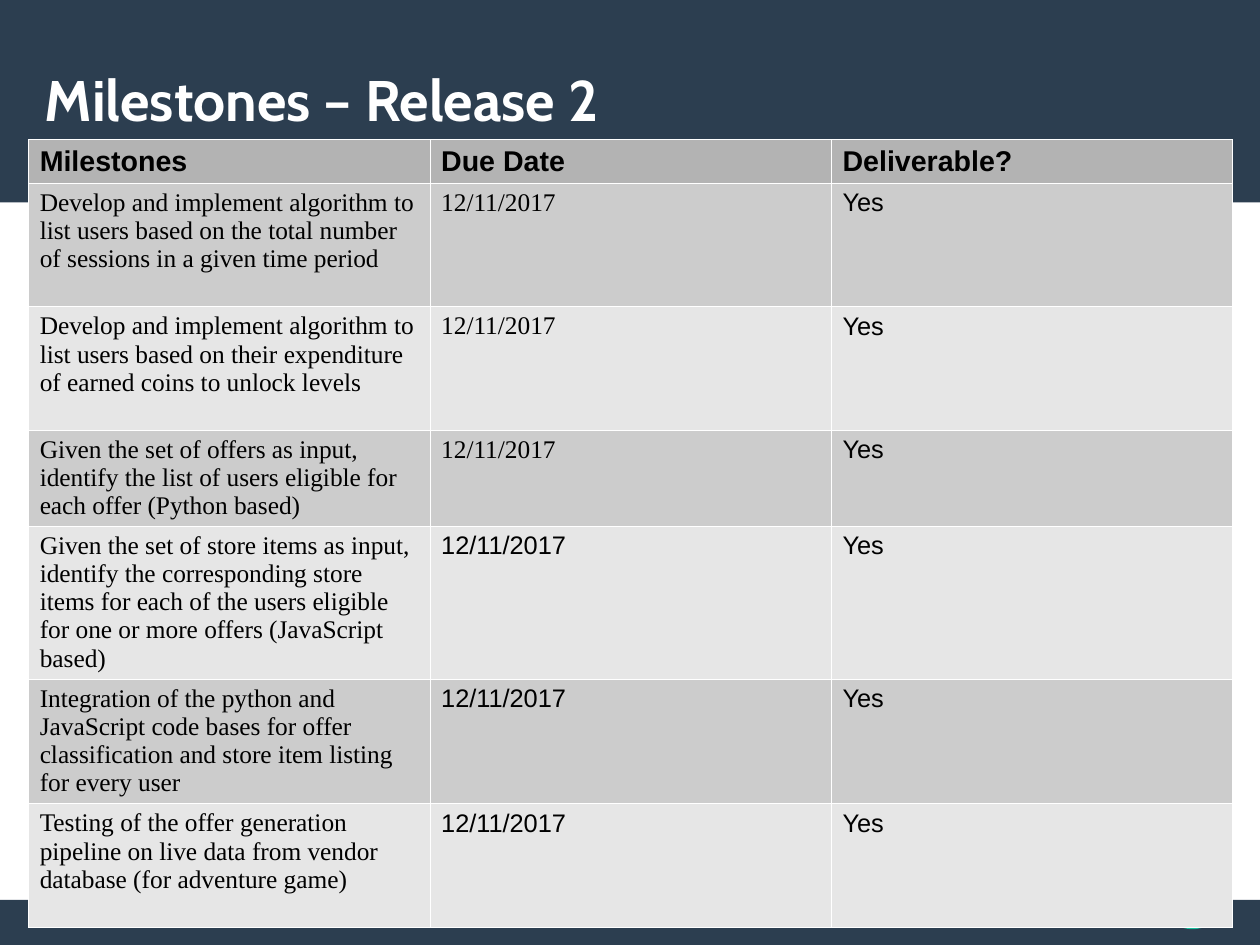
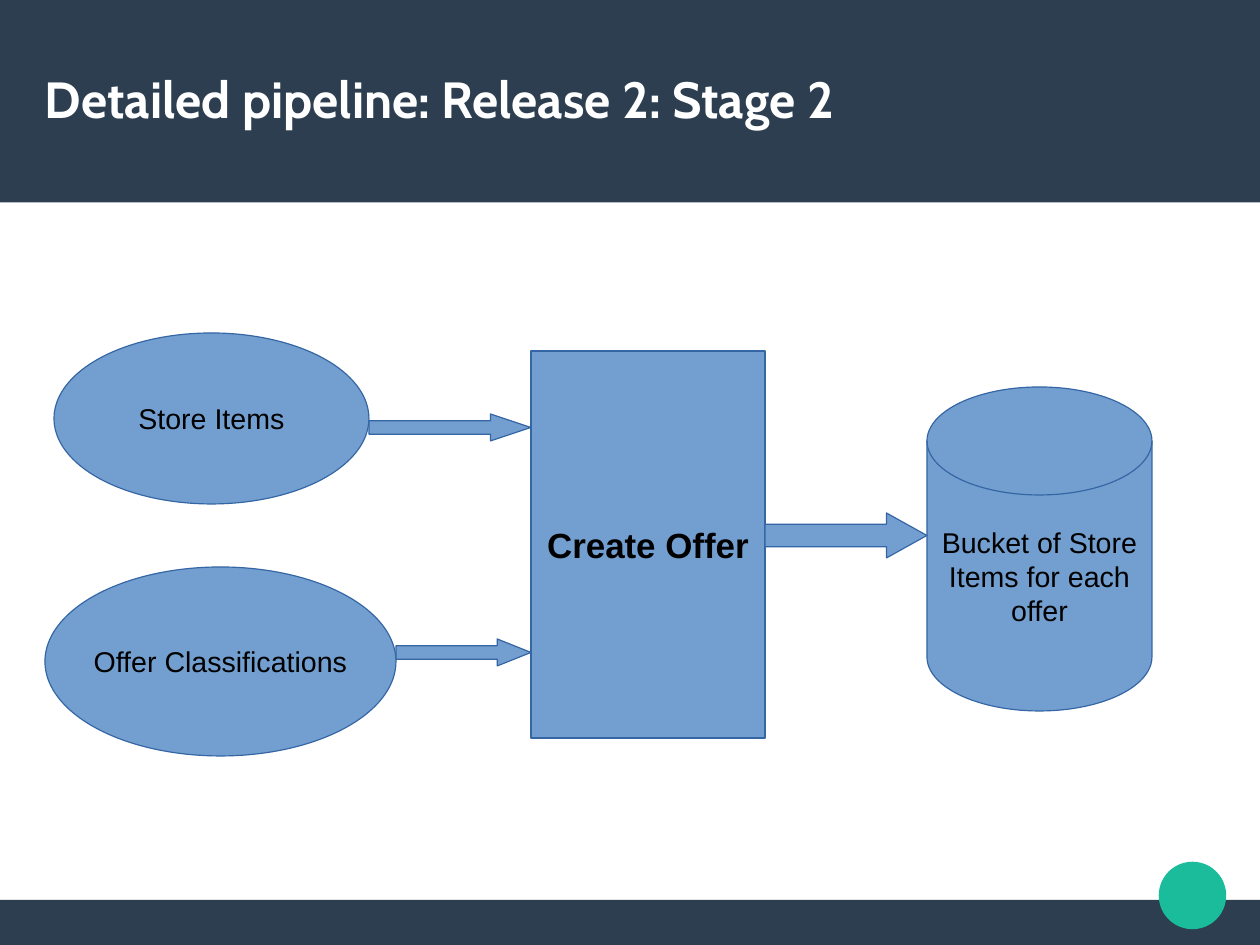
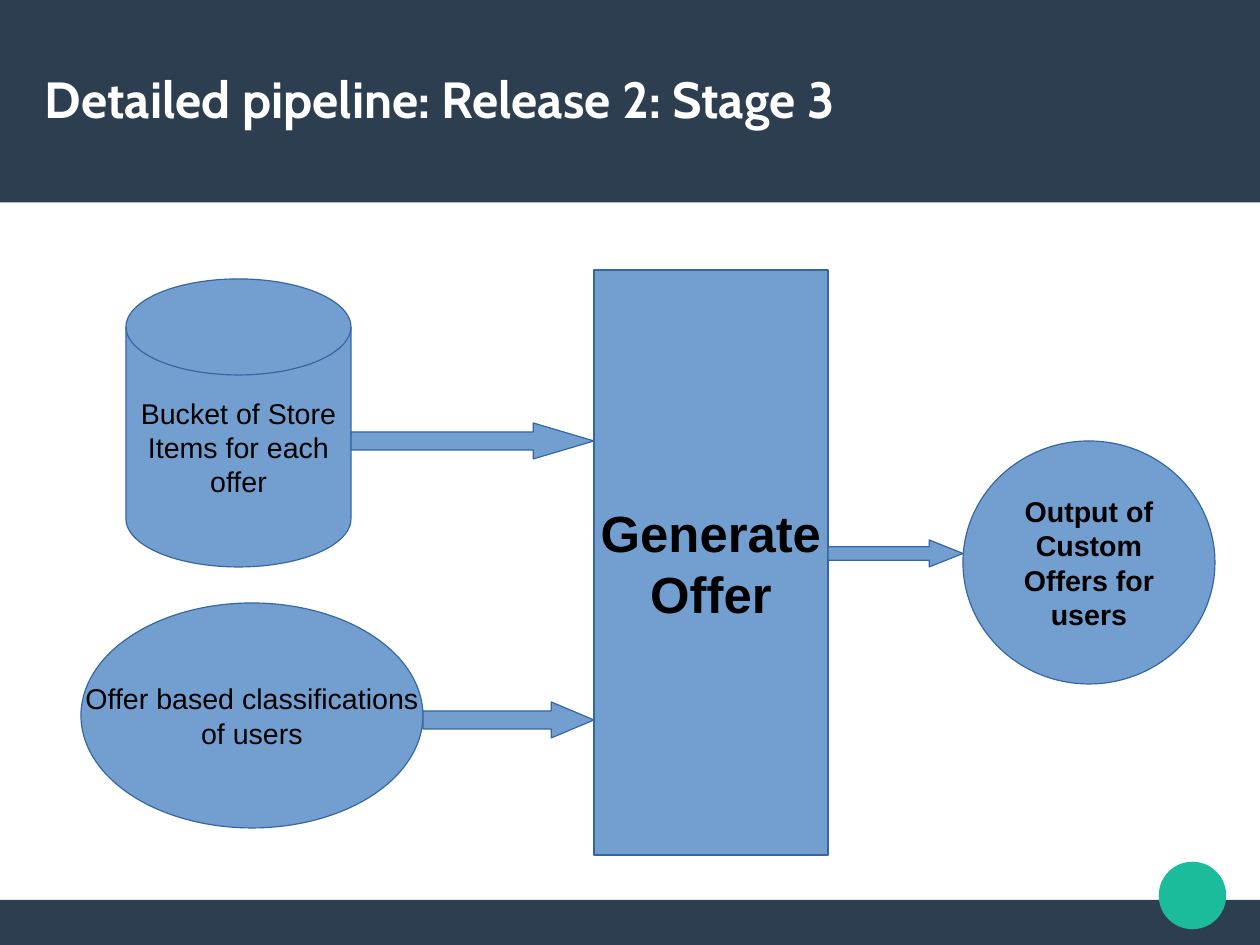
from dataclasses import dataclass

from lxml import etree
from pptx import Presentation
from pptx.dml.color import RGBColor
from pptx.enum.shapes import MSO_SHAPE
from pptx.enum.text import MSO_ANCHOR, MSO_AUTO_SIZE, PP_ALIGN
from pptx.oxml.ns import qn
from pptx.presentation import Presentation as Deck
from pptx.shapes.autoshape import Shape
from pptx.slide import Slide, SlideLayout
from pptx.table import _Cell as Cell
from pptx.util import Cm, Pt

RECTANGLE, OVAL = MSO_SHAPE.RECTANGLE, MSO_SHAPE.OVAL
ELLIPSE = MSO_SHAPE.FLOWCHART_CONNECTOR
PROCESS = MSO_SHAPE.FLOWCHART_PROCESS
DISK = MSO_SHAPE.FLOWCHART_MAGNETIC_DISK
RIGHT_ARROW = MSO_SHAPE.RIGHT_ARROW
MIDDLE = MSO_ANCHOR.MIDDLE
LEFT, CENTER = PP_ALIGN.LEFT, PP_ALIGN.CENTER
NO_AUTOFIT = MSO_AUTO_SIZE.NONE

NAVY = RGBColor(0x2C, 0x3E, 0x50)
TEAL = RGBColor(0x1A, 0xBC, 0x9C)
WHITE = RGBColor(0xFF, 0xFF, 0xFF)
BLACK = RGBColor(0x00, 0x00, 0x00)
NODE_FILL = RGBColor(0x72, 0x9F, 0xCF)
NODE_LINE = RGBColor(0x34, 0x65, 0xA4)
HEADER_GREY = RGBColor(0xB3, 0xB3, 0xB3)
ROW_GREYS = (RGBColor(0xCC, 0xCC, 0xCC), RGBColor(0xE6, 0xE6, 0xE6))

TITLE_FONT, SANS, SERIF = "Cabin", "Arial", "Times New Roman"
SLIDE_WIDTH, SLIDE_HEIGHT = 28, 21  # centimetres


@dataclass(frozen=True)
class Node:
    """A labelled step of a pipeline; lengths in centimetres."""
    kind: MSO_SHAPE
    left: float
    top: float
    width: float
    height: float
    label: str
    size: int = 18
    bold: bool = False


@dataclass(frozen=True)
class Flow:
    """An arrow between the facing sides of two nodes."""
    source: Node
    target: Node
    middle: float
    thickness: float


@dataclass(frozen=True)
class Milestone:
    task: str
    height: float
    date_font: str = SANS


# Content
TABLE_HEADINGS = ("Milestones", "Due Date", "Deliverable?")
DUE_DATE, DELIVERABLE = "12/11/2017", "Yes"
MILESTONES = (
    Milestone("Develop and implement algorithm to list users based on the total "
              "number of sessions in a given time period", 2.74, SERIF),
    Milestone("Develop and implement algorithm to list users based on their "
              "expenditure of earned coins to unlock levels", 2.74, SERIF),
    Milestone("Given the set of offers as input, identify the list of users "
              "eligible for each offer (Python based)", 2.13, SERIF),
    Milestone("Given the set of store items as input, identify the corresponding "
              "store items for each of the users eligible for one or more offers "
              "(JavaScript based)", 3.4),
    Milestone("Integration of the python and JavaScript code bases for offer "
              "classification and store item listing for every user", 2.77),
    Milestone("Testing of the offer generation pipeline on live data from vendor "
              "database (for adventure game)", 2.74),
)

BUCKET_LABEL = "Bucket of Store\nItems for each\noffer"

STORE_ITEMS = Node(ELLIPSE, 1.2, 7.4, 7, 3.8, "Store Items")
CLASSIFICATIONS = Node(ELLIPSE, 1, 12.6, 7.8, 4.2, "Offer Classifications")
CREATE_OFFER = Node(PROCESS, 11.8, 7.8, 5.2, 8.6, "Create Offer", 22, True)
BUCKET_OUT = Node(DISK, 20.6, 8.6, 5, 7.2, BUCKET_LABEL)
STAGE_2 = (
    Flow(STORE_ITEMS, CREATE_OFFER, 9.5, 0.6),
    Flow(CLASSIFICATIONS, CREATE_OFFER, 14.5, 0.6),
    Flow(CREATE_OFFER, BUCKET_OUT, 11.9, 1),
)

BUCKET_IN = Node(DISK, 2.8, 6.2, 5, 6.4, BUCKET_LABEL)
USER_CLASSES = Node(ELLIPSE, 1.8, 13.4, 7.6, 5, "Offer based classifications\nof users")
GENERATE_OFFER = Node(PROCESS, 13.2, 6, 5.2, 13, "Generate\nOffer", 32, True)
CUSTOM_OFFERS = Node(ELLIPSE, 21.4, 9.8, 5.6, 5.4,
                     "Output of\nCustom\nOffers for\nusers", 18, True)
STAGE_3 = (
    Flow(BUCKET_IN, GENERATE_OFFER, 9.8, 0.8),
    Flow(USER_CLASSES, GENERATE_OFFER, 16, 0.8),
    Flow(GENERATE_OFFER, CUSTOM_OFFERS, 12.3, 0.6),
)


def add_filled(slide: Slide, kind: MSO_SHAPE, left: float, top: float,
               width: float, height: float, fill: RGBColor) -> Shape:
    shape = slide.shapes.add_shape(kind, Cm(left), Cm(top), Cm(width), Cm(height))
    shape.shadow.inherit = False
    shape.fill.solid()
    shape.fill.fore_color.rgb = fill
    shape.line.fill.background()
    return shape


def move_bands_to_layout(slide: Slide, layout: SlideLayout) -> None:
    """Draw the bands and the circle, then place them behind the layout title."""
    for placeholder in list(layout.placeholders):
        if placeholder.placeholder_format.idx:
            layout.shapes.element.remove(placeholder.element)
    parts = [
        add_filled(slide, RECTANGLE, 0, SLIDE_HEIGHT - 1, SLIDE_WIDTH, 1, NAVY),
        add_filled(slide, RECTANGLE, 0, 0, SLIDE_WIDTH, 4.5, NAVY),
        add_filled(slide, OVAL, 25.75, 19.15, 1.5, 1.5, TEAL),
    ]
    for position, part in enumerate(parts, start=2):
        layout.shapes.element.insert(position, part.element)


def add_titled_slide(deck: Deck, layout: SlideLayout, text: str, size: int) -> Slide:
    slide = deck.slides.add_slide(layout)
    title = slide.shapes.title
    title.left, title.top, title.width, title.height = Cm(1), Cm(0.85), Cm(26), Cm(2.67)
    frame = title.text_frame
    frame.text = text
    frame.margin_left = frame.margin_right = frame.margin_top = frame.margin_bottom = 0
    frame.vertical_anchor = MIDDLE
    frame.auto_size = NO_AUTOFIT
    paragraph = frame.paragraphs[0]
    paragraph.alignment = LEFT
    font = paragraph.runs[0].font
    font.name, font.size, font.bold = TITLE_FONT, Pt(size), True
    font.color.rgb = WHITE
    return slide


def outline(shape: Shape) -> None:
    shape.line.color.rgb = NODE_LINE
    shape.line.width = 0


def draw_node(slide: Slide, node: Node) -> None:
    shape = add_filled(slide, node.kind, node.left, node.top,
                       node.width, node.height, NODE_FILL)
    outline(shape)
    frame = shape.text_frame
    frame.text = node.label
    frame.word_wrap = False
    frame.vertical_anchor = MIDDLE
    for paragraph in frame.paragraphs:
        paragraph.alignment = CENTER
        font = paragraph.runs[0].font
        font.name, font.size, font.bold = SANS, Pt(node.size), node.bold
        font.color.rgb = BLACK


def draw_flow(slide: Slide, flow: Flow) -> None:
    start = flow.source.left + flow.source.width
    length = flow.target.left - start
    arrow = add_filled(slide, RIGHT_ARROW, start, flow.middle - flow.thickness / 2,
                       length, flow.thickness, NODE_FILL)
    outline(arrow)
    # The head takes a quarter of the length
    arrow.adjustments[0] = 0.5
    arrow.adjustments[1] = length / 4 / flow.thickness


def draw_pipeline(slide: Slide, flows: tuple[Flow, ...]) -> None:
    nodes = dict.fromkeys(node for flow in flows for node in (flow.source, flow.target))
    for node in nodes:
        draw_node(slide, node)
    for flow in flows:
        draw_flow(slide, flow)


def border_cell(cell: Cell) -> None:
    properties = cell._tc.get_or_add_tcPr()
    for position, side in enumerate(("a:lnL", "a:lnR", "a:lnT", "a:lnB")):
        line = etree.Element(qn(side), w=str(Pt(0.06)))
        fill = etree.SubElement(line, qn("a:solidFill"))
        etree.SubElement(fill, qn("a:srgbClr"), val=str(WHITE))
        properties.insert(position, line)


def fill_cell(cell: Cell, text: str, fill: RGBColor, font_name: str,
              size: int = 16, bold: bool = False) -> None:
    cell.fill.solid()
    cell.fill.fore_color.rgb = fill
    border_cell(cell)
    cell.text_frame.text = text
    paragraph = cell.text_frame.paragraphs[0]
    if font_name == SERIF:
        paragraph.space_after = Pt(6)
    font = paragraph.runs[0].font
    font.name, font.size, font.bold = font_name, Pt(size), bold
    font.color.rgb = BLACK


def draw_milestones(slide: Slide) -> None:
    heights = [0.97] + [milestone.height for milestone in MILESTONES]
    column_width = 8.92
    columns = len(TABLE_HEADINGS)
    table = slide.shapes.add_table(len(heights), columns, Cm(0.63), Cm(3.1),
                                   Cm(columns * column_width), Cm(sum(heights))).table
    for column in table.columns:
        column.width = Cm(column_width)
    for row, height in zip(table.rows, heights):
        row.height = Cm(height)
    for column, heading in enumerate(TABLE_HEADINGS):
        fill_cell(table.cell(0, column), heading, HEADER_GREY, SANS, 18, True)
    for index, milestone in enumerate(MILESTONES):
        grey = ROW_GREYS[index % 2]
        entries = ((milestone.task, SERIF), (DUE_DATE, milestone.date_font),
                   (DELIVERABLE, SANS))
        for column, (text, font_name) in enumerate(entries):
            fill_cell(table.cell(index + 1, column), text, grey, font_name)


def main() -> None:
    deck = Presentation()
    deck.slide_width, deck.slide_height = Cm(SLIDE_WIDTH), Cm(SLIDE_HEIGHT)
    layout = deck.slide_layouts[5]

    # Milestone table
    milestones = add_titled_slide(deck, layout, "Milestones – Release 2", 36)
    move_bands_to_layout(milestones, layout)
    draw_milestones(milestones)

    # Pipeline stages
    for stage, flows in ((2, STAGE_2), (3, STAGE_3)):
        slide = add_titled_slide(
            deck, layout, f"Detailed pipeline: Release 2: Stage {stage}", 32)
        draw_pipeline(slide, flows)

    deck.save("out.pptx")


if __name__ == "__main__":
    main()
